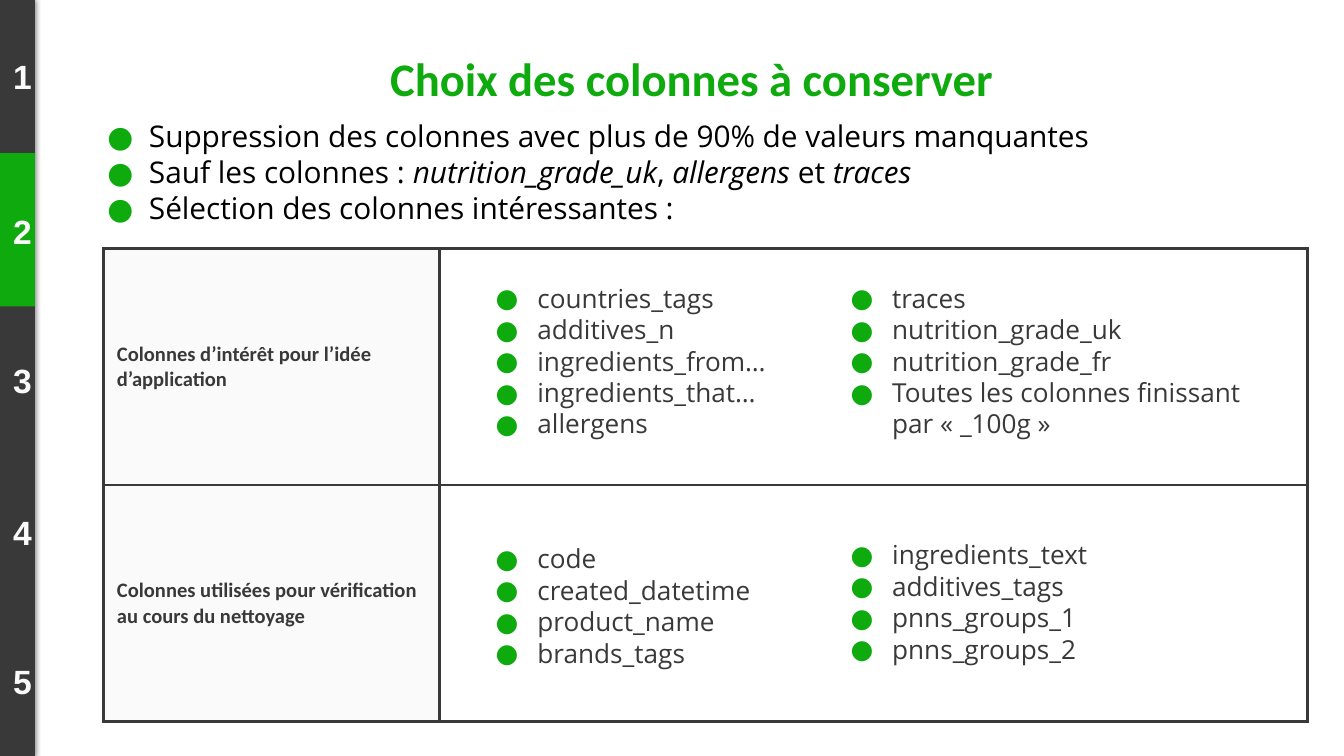
from dataclasses import dataclass

import lxml.etree
import pptx
import pptx.dml.color
import pptx.enum.shapes
import pptx.enum.text
import pptx.oxml.ns
import pptx.util

Inches = pptx.util.Inches
ALIGN = pptx.enum.text.PP_ALIGN
ANCHOR = pptx.enum.text.MSO_ANCHOR
COLOURS = {"green": "0EAA0E", "dark": "3A3939", "pale": "FAFAFA",
           "black": "000000", "white": "FFFFFF"}

# A 16:9 slide
SLIDE_WIDTH = 10
SLIDE_HEIGHT = SLIDE_WIDTH * 9 / 16

TITLE_FORMAT = {"name": "Calibri", "size": pptx.util.Pt(25), "bold": True}
INTRO_FORMAT = {"name": "Open Sans", "size": pptx.util.Pt(16)}
LIST_FORMAT = {"name": "Open Sans", "size": pptx.util.Pt(14)}
LABEL_FORMAT = {"name": "Calibri", "size": pptx.util.Pt(11), "bold": True}
NUMBER_FORMAT = {"name": "Arial", "size": pptx.util.Pt(18), "bold": True}


@dataclass
class Box:
    left: float
    top: float
    width: float
    height: float

    def lengths(self) -> list:
        return [Inches(v) for v in (self.left, self.top, self.width, self.height)]


@dataclass
class BulletList:
    box: Box
    items: list[str]


def rgb(colour: str) -> pptx.dml.color.RGBColor:
    return pptx.dml.color.RGBColor.from_string(COLOURS[colour])


def add_xml(parent, tag: str, **attributes: str):
    return lxml.etree.SubElement(parent, pptx.oxml.ns.qn(tag), attributes)


def add_run(paragraph, text: str, formats: dict, colour: str) -> None:
    run = paragraph.add_run()
    run.text = text
    for attribute, value in formats.items():
        setattr(run.font, attribute, value)
    run.font.color.rgb = rgb(colour)


def add_text_frame(slide, box: Box):
    frame = slide.shapes.add_textbox(*box.lengths()).text_frame
    frame.word_wrap = True
    return frame


def add_centred(slide, box: Box, text: str, formats: dict, colour: str):
    frame = add_text_frame(slide, box)
    frame.paragraphs[0].alignment = ALIGN.CENTER
    add_run(frame.paragraphs[0], text, formats, colour)
    return frame


def add_bullets(slide, bullets: BulletList, formats: dict, colour: str) -> None:
    """Asterisks in an item surround its italic words."""
    frame = add_text_frame(slide, bullets.box)
    for index, item in enumerate(bullets.items):
        paragraph = frame.add_paragraph() if index else frame.paragraphs[0]
        properties = paragraph._p.get_or_add_pPr()
        properties.set("marL", str(Inches(0.31)))
        properties.set("indent", str(Inches(-0.31)))
        add_xml(add_xml(properties, "a:buClr"), "a:srgbClr", val=COLOURS["green"])
        add_xml(properties, "a:buFont", typeface="Open Sans")
        add_xml(properties, "a:buChar", char="●")
        for part, text in enumerate(item.split("*")):
            if text:
                add_run(paragraph, text, formats | {"italic": part % 2 == 1}, colour)


def style_cell(cell, fill: str) -> None:
    properties = cell._tc.get_or_add_tcPr()
    for side in ("L", "R", "T", "B"):
        line = add_xml(properties, f"a:ln{side}", w=str(pptx.util.Pt(1.5)))
        add_xml(add_xml(line, "a:solidFill"), "a:srgbClr", val=COLOURS["dark"])
    cell.fill.solid()
    cell.fill.fore_color.rgb = rgb(fill)


def add_label_table(slide, box: Box, widths: list[float], labels: list[str]) -> None:
    table = slide.shapes.add_table(len(labels), len(widths), *box.lengths()).table
    table.first_row = table.horz_banding = False
    for column, width in zip(table.columns, widths):
        column.width = Inches(width)
    for row, label in enumerate(labels):
        heading, content = table.cell(row, 0), table.cell(row, 1)
        style_cell(heading, "pale")
        style_cell(content, "white")
        heading.vertical_anchor = ANCHOR.MIDDLE
        heading.margin_left = heading.margin_right = Inches(0.1)
        heading.margin_top = heading.margin_bottom = 0
        add_run(heading.text_frame.paragraphs[0], label, LABEL_FORMAT, "dark")


def add_bar(slide, box: Box, colour: str):
    bar = slide.shapes.add_shape(pptx.enum.shapes.MSO_SHAPE.RECTANGLE, *box.lengths())
    bar.shadow.inherit = False
    bar.fill.solid()
    bar.fill.fore_color.rgb = rgb(colour)
    bar.line.fill.background()
    return bar


def add_soft_shadow(shape) -> None:
    effects = shape._element.spPr.find(pptx.oxml.ns.qn("a:effectLst"))
    shadow = add_xml(effects, "a:outerShdw", blurRad=str(pptx.util.Pt(3)),
                     dist="0", dir="0", algn="ctr", rotWithShape="0")
    add_xml(add_xml(shadow, "a:srgbClr", val=COLOURS["black"]), "a:alpha", val="50000")


INTRO = BulletList(Box(0.7, 0.83, 9.11, 0.91), [
    "Suppression des colonnes avec plus de 90% de valeurs manquantes",
    "Sauf les colonnes : *nutrition_grade_uk*, *allergens* et *traces*",
    "Sélection des colonnes intéressantes :",
])
LABELS = ["Colonnes d’intérêt pour l’idée d’application",
          "Colonnes utilisées pour vérification au cours du nettoyage"]
COLUMN_LISTS = [
    BulletList(Box(3.59, 2.05, 2.52, 1.28), [
        "countries_tags", "additives_n", "ingredients_from…", "ingredients_that…",
        "allergens"]),
    BulletList(Box(6.23, 2.05, 3.31, 1.28), [
        "traces", "nutrition_grade_uk", "nutrition_grade_fr",
        "Toutes les colonnes finissant par « _100g »"]),
    BulletList(Box(3.59, 3.99, 2.52, 1.04), [
        "code", "created_datetime", "product_name", "brands_tags"]),
    BulletList(Box(6.23, 3.96, 2.52, 1.04), [
        "ingredients_text", "additives_tags", "pnns_groups_1", "pnns_groups_2"]),
]
STEP_TOPS = [0.37, 1.52, 2.63, 3.76, 4.87]


def main() -> None:
    deck = pptx.Presentation()
    deck.slide_width, deck.slide_height = Inches(SLIDE_WIDTH), Inches(SLIDE_HEIGHT)
    slide = deck.slides.add_slide(deck.slide_layouts[6])

    # Title and introduction
    title = add_centred(slide, Box(0.27, 0.26, 9.75, 0.63),
                        "Choix des colonnes à conserver", TITLE_FORMAT, "green")
    title.vertical_anchor = ANCHOR.BOTTOM
    title.margin_top = title.margin_bottom = Inches(0.1)
    add_bullets(slide, INTRO, INTRO_FORMAT, "black")

    # Table with the lists of kept columns
    add_label_table(slide, Box(0.77, 1.85, 8.96, 3.52), [2.5, 6.46], LABELS)
    for column_list in COLUMN_LISTS:
        add_bullets(slide, column_list, LIST_FORMAT, "dark")

    # Step bar with the current step in green
    add_soft_shadow(add_bar(slide, Box(0, 0, 0.26, SLIDE_HEIGHT), "dark"))
    add_bar(slide, Box(0, 1.14, 0.26, 1.14), "green")
    for step, top in enumerate(STEP_TOPS, start=1):
        add_centred(slide, Box(0, top, 0.26, 0.4), str(step), NUMBER_FORMAT, "pale")

    deck.save("out.pptx")


if __name__ == "__main__":
    main()
